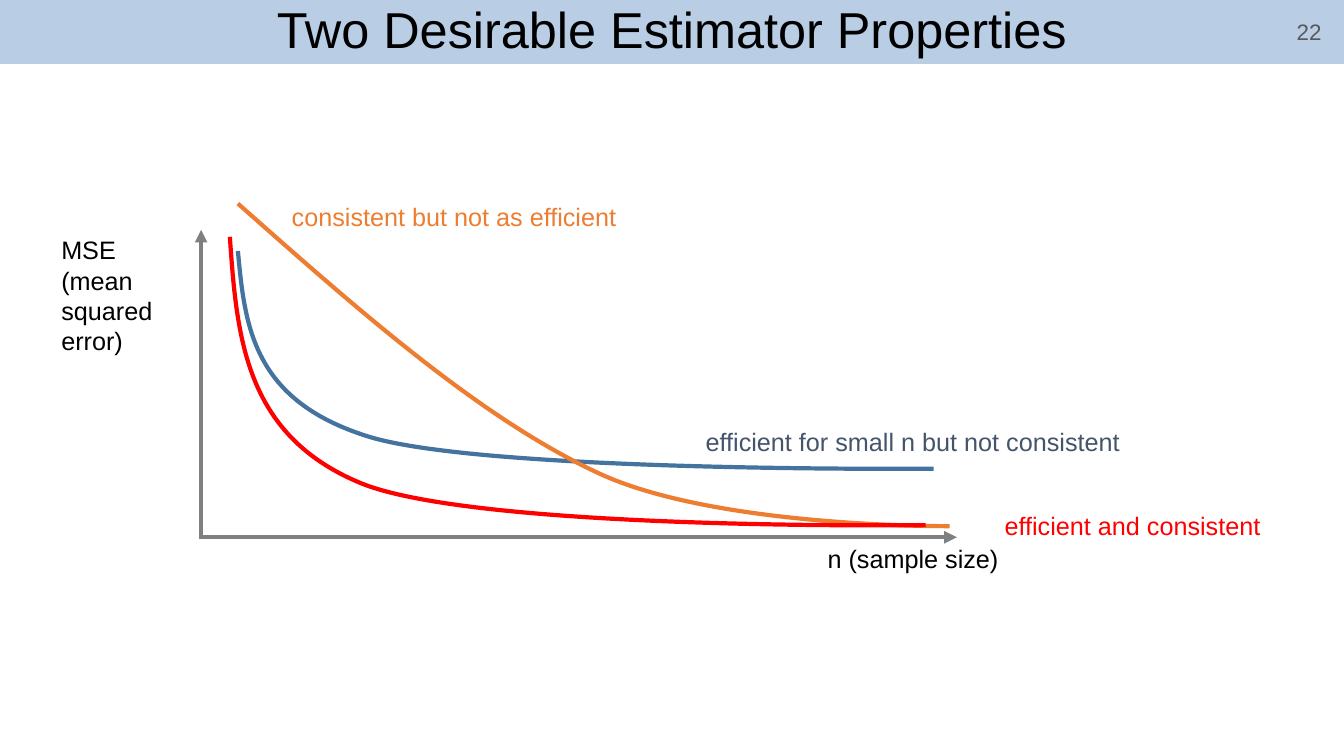
from dataclasses import dataclass

from lxml.etree import SubElement
from pptx import Presentation
from pptx.dml.color import RGBColor
from pptx.enum.shapes import MSO_CONNECTOR as Connector
from pptx.enum.text import MSO_ANCHOR as Anchor, MSO_AUTO_SIZE as AutoSize, PP_ALIGN as Align
from pptx.oxml.ns import qn
from pptx.slide import Slide
from pptx.text.text import TextFrame
from pptx.util import Emu, Inches, Pt

BLACK = RGBColor(0x00, 0x00, 0x00)
BAND_BLUE = RGBColor(0xB9, 0xCD, 0xE5)
AXIS_GRAY = RGBColor(0x80, 0x80, 0x80)
NUMBER_GRAY = RGBColor(0x59, 0x59, 0x59)
SLATE = RGBColor(0x44, 0x54, 0x6A)
BLUE = RGBColor(0x43, 0x73, 0x9E)
ORANGE = RGBColor(0xED, 0x7D, 0x31)
RED = RGBColor(0xFF, 0x00, 0x00)

FONT = "Arial"
CELL = Inches(0.1)
SLIDE_COLUMNS, SLIDE_ROWS = 133.3, 75
LINE_WIDTH = Pt(3)

Point = tuple[float, float]


@dataclass(frozen=True)
class Axis:
    start: Point
    end: Point


@dataclass(frozen=True)
class Bend:
    leave: Point
    approach: Point
    end: Point


@dataclass(frozen=True)
class Curve:
    color: RGBColor
    start: Point
    bends: tuple[Bend, ...]


@dataclass(frozen=True)
class Label:
    text: str
    column: float
    row: float
    columns: float
    rows: float = 4
    color: RGBColor = BLACK
    size: int = 18
    wrap: bool = False
    align: Align = Align.LEFT
    anchor: Anchor = Anchor.TOP


AXES = (
    Axis((19.95, 53.1), (19.95, 22.8)),
    Axis((19.7, 53.3), (94.9, 53.3)),
)

CURVES = (
    Curve(BLUE, (23.6, 24.9), (
        Bend((24.3, 32.3), (25, 39.7), (36.5, 43.3)),
        Bend((48, 46.9), (92.6, 46.5), (92.6, 46.5)),
    )),
    Curve(ORANGE, (23.6, 20.2), (
        Bend((35.8, 31), (47.9, 41.7), (59.7, 47.1)),
        Bend((71.5, 52.4), (94.2, 52.2), (94.2, 52.2)),
    )),
    Curve(RED, (22.8, 23.5), (
        Bend((23.5, 33.3), (24.2, 43.1), (35.7, 47.9)),
        Bend((47.2, 52.7), (91.8, 52.1), (91.8, 52.1)),
    )),
)

LABELS = (
    Label("n (sample size)", 81.1, 53.4, 19.1),
    Label("MSE\n(mean squared error)", 5.1, 22.8, 12.6, 13.1, wrap=True),
    Label("consistent but not as efficient", 27.95, 19.5, 34.5, color=ORANGE),
    Label("efficient for small n but not consistent", 69, 41.8, 43.5, color=SLATE),
    Label("efficient and consistent", 98.65, 50.1, 27.6, color=RED),
    Label("22", 102.05, 1.15, 30, color=NUMBER_GRAY, size=16, wrap=True,
          align=Align.RIGHT, anchor=Anchor.MIDDLE),
)


def cells(count: float) -> Emu:
    return Emu(round(count * CELL))


def format_text(frame: TextFrame, size: int, color: RGBColor, align: Align) -> None:
    for paragraph in frame.paragraphs:
        paragraph.alignment = align
        for run in paragraph.runs:
            run.font.name = FONT
            run.font.size = Pt(size)
            run.font.color.rgb = color


def add_title(slide: Slide, text: str) -> None:
    title = slide.shapes.title
    title.left, title.top = cells(0), cells(0)
    title.width, title.height = cells(SLIDE_COLUMNS), cells(6.35)
    title.fill.solid()
    title.fill.fore_color.rgb = BAND_BLUE
    frame = title.text_frame
    frame.text = text
    frame.auto_size = AutoSize.NONE
    frame.vertical_anchor = Anchor.MIDDLE
    frame.paragraphs[0].line_spacing = 0.9
    format_text(frame, 36, BLACK, Align.CENTER)


def add_axis(slide: Slide, axis: Axis) -> None:
    ends = (cells(count) for count in (*axis.start, *axis.end))
    arrow = slide.shapes.add_connector(Connector.STRAIGHT, *ends)
    arrow.line.color.rgb = AXIS_GRAY
    arrow.line.width = LINE_WIDTH
    SubElement(arrow.line._get_or_add_ln(), qn("a:tailEnd"), type="triangle")
    SubElement(arrow._element.spPr, qn("a:effectLst"))


def add_curve(slide: Slide, curve: Curve) -> None:
    left, top = curve.start
    builder = slide.shapes.build_freeform(cells(left), cells(top))
    builder.add_line_segments(
        [(cells(x), cells(y)) for x, y in (bend.end for bend in curve.bends)], close=False)
    stroke = builder.convert_to_shape()
    segments = list(stroke._element.iter(qn("a:lnTo")))
    for segment, bend in zip(segments, curve.bends):
        segment.tag = qn("a:cubicBezTo")
        for place, (x, y) in enumerate((bend.leave, bend.approach)):
            control = SubElement(segment, qn("a:pt"), x=str(cells(x - left)), y=str(cells(y - top)))
            segment.insert(place, control)
    stroke.shadow.inherit = False
    stroke.fill.background()
    stroke.line.color.rgb = curve.color
    stroke.line.width = LINE_WIDTH


def add_label(slide: Slide, label: Label) -> None:
    bounds = (label.column, label.row, label.columns, label.rows)
    frame = slide.shapes.add_textbox(*map(cells, bounds)).text_frame
    frame.text = label.text
    frame.word_wrap = label.wrap
    frame.vertical_anchor = label.anchor
    format_text(frame, label.size, label.color, label.align)


def main() -> None:
    deck = Presentation()
    deck.slide_width, deck.slide_height = cells(SLIDE_COLUMNS), cells(SLIDE_ROWS)
    slide = deck.slides.add_slide(deck.slide_layouts.get_by_name("Title Only"))
    add_title(slide, "Two Desirable Estimator Properties")
    for axis in AXES:
        add_axis(slide, axis)
    for curve in CURVES:
        add_curve(slide, curve)
    for label in LABELS:
        add_label(slide, label)
    deck.save("out.pptx")


if __name__ == "__main__":
    main()
